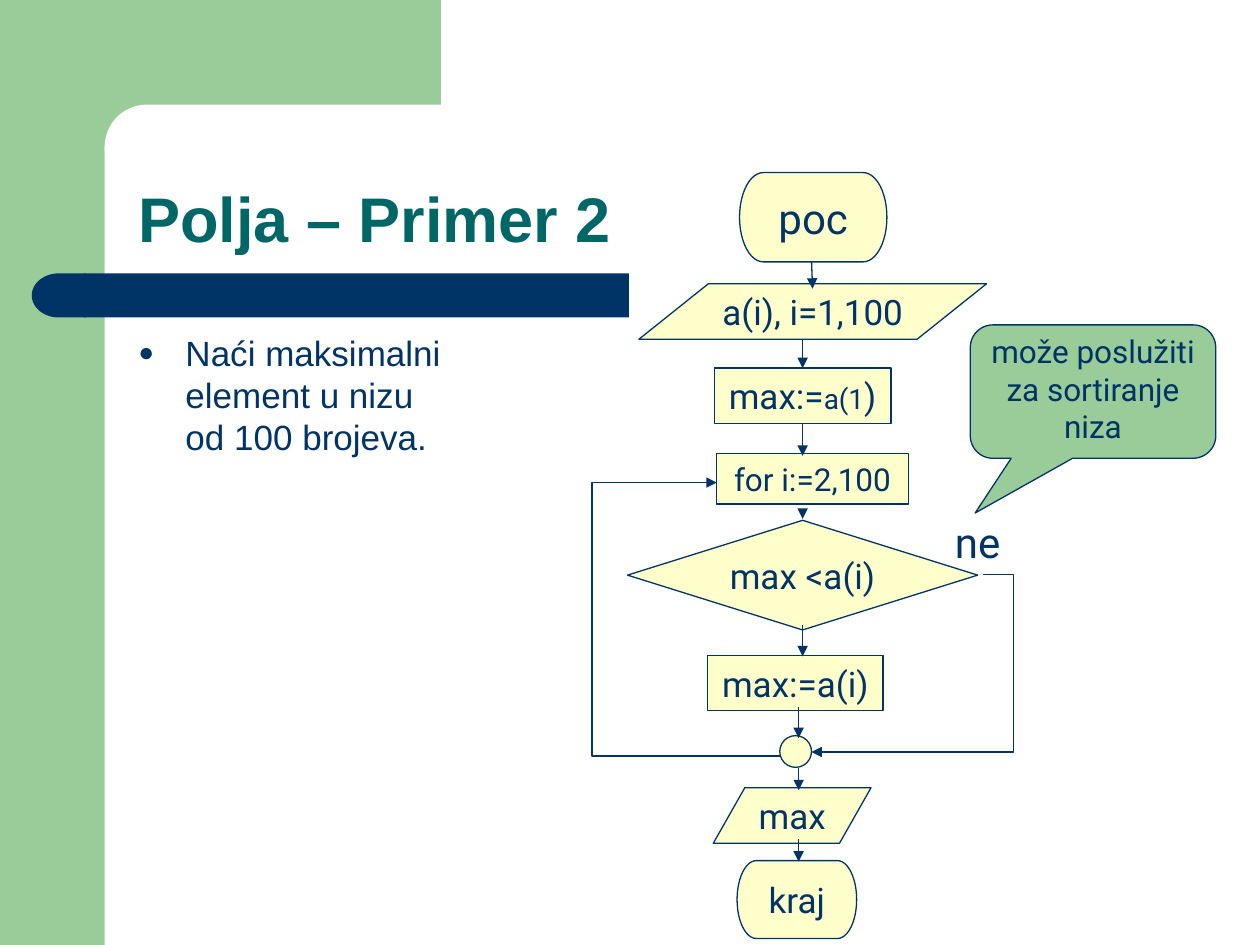
from lxml.etree import SubElement
from pptx import Presentation
from pptx.dml.color import RGBColor
from pptx.enum.shapes import MSO_CONNECTOR, MSO_SHAPE
from pptx.enum.text import MSO_ANCHOR, PP_ALIGN
from pptx.oxml.ns import qn
from pptx.util import Cm, Pt

GREEN = RGBColor(0x99, 0xCC, 0x99)
NAVY = RGBColor(0x00, 0x33, 0x66)
TEAL = RGBColor(0x00, 0x66, 0x66)
CREAM = RGBColor(0xFF, 0xFF, 0xCC)
WHITE = RGBColor(0xFF, 0xFF, 0xFF)

TOP, BOTTOM = 0, 2  # connection sites of a rectangle


class SlideBuilder:
    """Holds the style and the page being drawn."""

    line_width = Pt(0.75)
    heading_font = "Arial"
    chart_font = "Roboto"

    def __init__(self, page):
        self.page = page

    def set_text(self, shape, spans, anchor, align, wrap=False, **style):
        """Write one paragraph; spans are (text, size) pairs."""
        frame = shape.text_frame
        layout = {
            "word_wrap": wrap, "vertical_anchor": anchor,
            "margin_left": Cm(0.25), "margin_right": Cm(0.25),
            "margin_top": Cm(0.13), "margin_bottom": Cm(0.13),
        }
        for name, value in layout.items():
            setattr(frame, name, value)
        para = frame.paragraphs[0]
        para.alignment = align
        look = {"name": self.chart_font, "bold": False, **style}
        color = look.pop("color", NAVY)
        for text, size in spans:
            span = para.add_run()
            span.text = text
            for name, value in {**look, "size": Pt(size)}.items():
                setattr(span.font, name, value)
            span.font.color.rgb = color
        return para

    def shape(self, kind, place, fill, line=None, adjustments=()):
        box = self.page.shapes.add_shape(kind, *map(Cm, place))
        box.shadow.inherit = False
        box.fill.solid()
        box.fill.fore_color.rgb = fill
        if line is None:
            box.line.fill.background()
        else:
            box.line.color.rgb = line
            box.line.width = self.line_width
        for index, value in enumerate(adjustments):
            box.adjustments[index] = value
        return box

    def step(self, kind, place, *spans, wrap=False):
        box = self.shape(kind, place, CREAM, NAVY)
        self.set_text(box, spans, MSO_ANCHOR.MIDDLE, PP_ALIGN.CENTER, wrap)
        return box

    def callout(self, place, text, size, adjustments):
        box = self.shape(MSO_SHAPE.ROUNDED_RECTANGULAR_CALLOUT, place,
                         GREEN, NAVY, adjustments)
        self.set_text(box, [(text, size)], MSO_ANCHOR.BOTTOM,
                      PP_ALIGN.CENTER, wrap=True)

    def label(self, place, text, size):
        box = self.page.shapes.add_textbox(*map(Cm, place))
        self.set_text(box, [(text, size)], MSO_ANCHOR.BOTTOM, PP_ALIGN.LEFT)

    def bullet(self, place, text, size):
        box = self.page.shapes.add_textbox(*map(Cm, place))
        properties = box.text_frame.paragraphs[0]._p.get_or_add_pPr()
        properties.set("marL", str(Cm(0.95)))
        properties.set("indent", str(-Cm(0.95)))
        for tag, key, value in (("a:buSzPct", "val", "75000"),
                                ("a:buFont", "typeface", self.heading_font),
                                ("a:buChar", "char", "●")):
            SubElement(properties, qn(tag)).set(key, value)
        self.set_text(box, [(text, size)], MSO_ANCHOR.TOP, PP_ALIGN.LEFT,
                      wrap=True, name=self.heading_font)

    def title(self, place, text, size):
        title = self.page.shapes.title
        for name, value in zip(("left", "top", "width", "height"), place):
            setattr(title, name, Cm(value))
        para = self.set_text(title, [(text, size)], MSO_ANCHOR.BOTTOM,
                             PP_ALIGN.LEFT, wrap=True, bold=True,
                             name=self.heading_font, color=TEAL)
        para.line_spacing = 0.9
        # Bring the title in front of the background
        title.element.getparent().append(title.element)

    def arrow(self, start, end, bend=None):
        """Straight arrow, or an elbow bent at a share of its width."""
        kind = MSO_CONNECTOR.STRAIGHT if bend is None else MSO_CONNECTOR.ELBOW
        arrow = self.page.shapes.add_connector(kind, *map(Cm, start + end))
        arrow.line.color.rgb = NAVY
        arrow.line.width = self.line_width
        properties = arrow.element.spPr
        SubElement(properties.find(qn("a:ln")), qn("a:tailEnd")).set("type", "triangle")
        SubElement(properties, qn("a:effectLst"))
        if bend is not None:
            geometry = properties.find(qn("a:prstGeom"))
            guides = geometry.find(qn("a:avLst"))
            if guides is None:
                guides = SubElement(geometry, qn("a:avLst"))
            guide = SubElement(guides, qn("a:gd"))
            guide.set("name", "adj1")
            guide.set("fmla", f"val {round(bend * 100000)}")
        return arrow


def main():
    deck = Presentation()
    deck.slide_width, deck.slide_height = Cm(25.4), Cm(19.05)
    page = deck.slides.add_slide(deck.slide_layouts[5])
    build = SlideBuilder(page)

    # Background: green corner, navy band, white panel behind the flowchart
    build.shape(MSO_SHAPE.RECTANGLE, (0, 0, 2.11, 19.05), GREEN)
    build.shape(MSO_SHAPE.RECTANGLE, (1.9, 0, 6.99, 2.97), GREEN)
    build.shape(MSO_SHAPE.ROUNDED_RECTANGLE, (2.11, 2.11, 14.17, 1.7),
                WHITE, adjustments=[0.5])
    build.shape(MSO_SHAPE.RECTANGLE, (1.7, 5.51, 19.48, 0.89), NAVY)
    cap = build.shape(MSO_SHAPE.FLOWCHART_DELAY, (0.64, 5.51, 1.09, 0.89), NAVY)
    cap.rotation = 180
    build.shape(MSO_SHAPE.RECTANGLE, (12.7, 0, 12.7, 18.77), WHITE, WHITE)

    # Title and task
    build.title((2.54, 2.11, 22.23, 3.18), "Polja – Primer 2", 36)
    build.bullet((2.54, 6.55, 6.86, 10.36),
                 "Naći maksimalni element u nizu od 100 brojeva.", 20)

    # Flowchart steps
    terminator = MSO_SHAPE.FLOWCHART_TERMINATOR
    data = MSO_SHAPE.FLOWCHART_DATA
    process = MSO_SHAPE.FLOWCHART_PROCESS
    build.step(terminator, (14.91, 3.48, 2.97, 1.8), ("poc", 24), wrap=True)
    build.step(data, (12.88, 5.72, 7.01, 1.12), ("a(i), i=1,100", 20))
    first_value = build.step(process, (14.4, 7.42, 3.56, 1.12),
                             ("max:=", 20), ("a(1", 16), (")", 20))
    build.step(process, (14.45, 9.14, 3.86, 1.02), ("for i:=2,100", 18))
    build.step(MSO_SHAPE.FLOWCHART_DECISION, (12.65, 10.49, 7.06, 2.21),
               ("max <a(i)", 20))
    build.step(process, (14.27, 13.21, 3.53, 1.12), ("max:=a(i)", 20))
    build.step(data, (14.38, 15.88, 3.18, 1.12), ("max", 20))
    build.step(terminator, (14.86, 17.35, 2.41, 1.57), ("kraj", 20), wrap=True)
    build.shape(MSO_SHAPE.FLOWCHART_CONNECTOR, (15.72, 14.83, 0.64, 0.64),
                CREAM, NAVY)

    # Downward arrows
    build.arrow((16.36, 5.28), (16.38, 5.82))
    into_first = build.arrow((16.18, 6.86), (16.18, 7.42))
    into_first.end_connect(first_value, TOP)
    from_first = build.arrow((16.18, 8.54), (16.18, 9.19))
    from_first.begin_connect(first_value, BOTTOM)
    for x, top, bottom in ((16.18, 10.26, 10.46), (16.18, 12.6, 13.23),
                           (16.1, 14.25, 14.88), (16.1, 15.49, 15.93),
                           (16.1, 16.92, 17.37)):
        build.arrow((x, top), (x, bottom))

    # "No" branch and loop back
    build.arrow((19.81, 11.58), (16.36, 15.16), bend=-0.18)
    build.arrow((15.72, 15.24), (14.45, 9.73), bend=2.98)

    # Branch label and remark
    build.label((19, 10.29, 1.5, 1.27), "ne", 24)
    build.callout((19.56, 6.55, 4.95, 2.69),
                  "može poslužiti za sortiranje niza", 18, (-0.48, 0.91, 0.17))

    deck.save("out.pptx")


if __name__ == "__main__":
    main()
